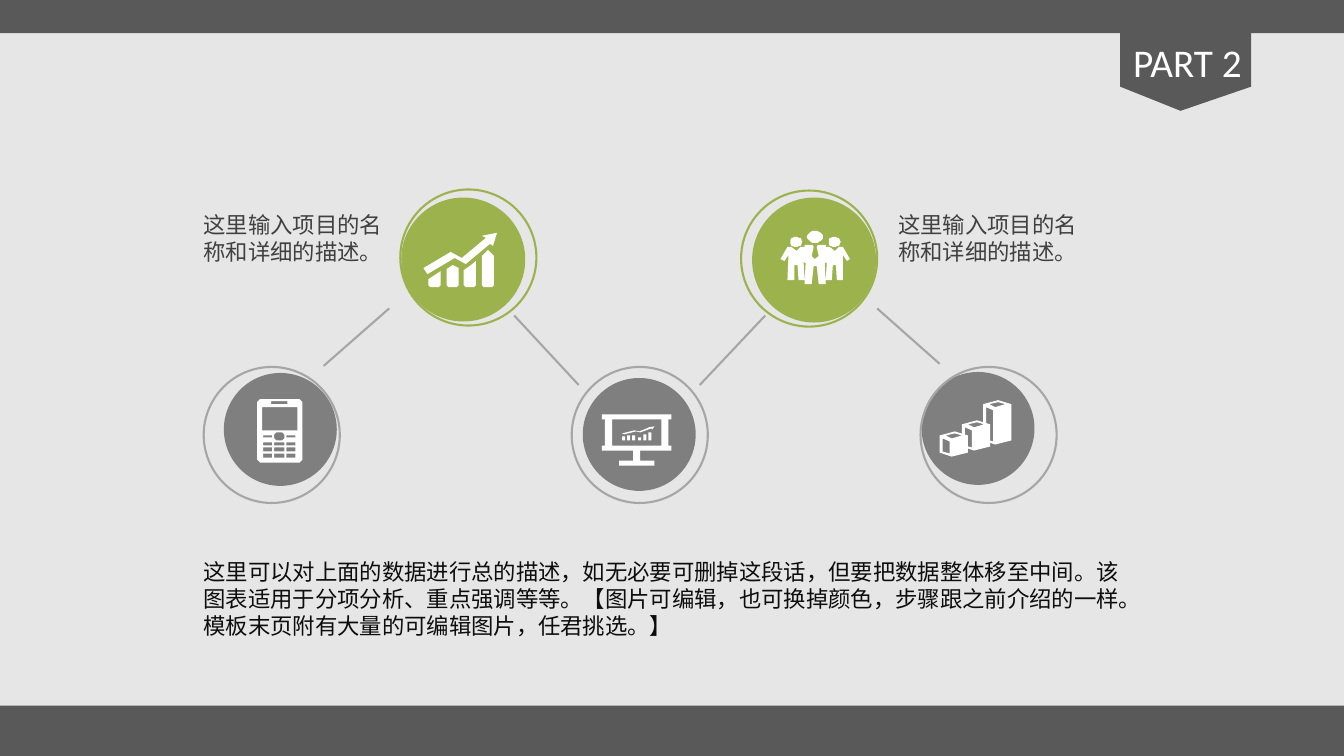
"""Builds the PART 2 slide: five icon circles in a zigzag with captions."""
from math import cos, pi, sin

from lxml.etree import SubElement
from pptx import Presentation
from pptx.dml.color import RGBColor
from pptx.enum.shapes import MSO_CONNECTOR, MSO_SHAPE
from pptx.enum.text import MSO_AUTO_SIZE
from pptx.oxml.ns import qn
from pptx.util import Inches, Pt

COLORS = {
    "back": "E6E6E6", "bar": "595959", "green": "9CB24D", "gray": "7F7F7F",
    "line": "A6A6A6", "white": "FFFFFF", "body": "0D0D0D", "label": "404040",
}
RGB = {name: RGBColor.from_string(code) for name, code in COLORS.items()}
CJK = "Noto Sans CJK SC"

deck = Presentation()
deck.slide_width, deck.slide_height = Inches(13.33), Inches(7.5)
slide = deck.slides.add_slide(deck.slide_layouts[6])
slide.background.fill.solid()
slide.background.fill.fore_color.rgb = RGB["back"]
shapes = slide.shapes


def draw(loops, color="white"):
    """Fill outlines given in hundredths of an inch; inner ones are holes."""
    pen = shapes.build_freeform(*loops[0][0], scale=Inches(0.01))
    for i, loop in enumerate(loops):
        if i:
            pen.move_to(*loop[0])
        pen.add_line_segments(loop[1:], close=True)
    form = pen.convert_to_shape()
    form.shadow.inherit = False
    form.fill.solid()
    form.fill.fore_color.rgb = RGB[color]
    form.line.fill.background()


def box(left, top, wide, high, cut=0):
    """Return a rectangle's outline, with its corners cut if asked."""
    right, base = left + wide, top + high
    points = [(left + cut, top), (right - cut, top),
              (right, top + cut), (right, base - cut),
              (right - cut, base), (left + cut, base),
              (left, base - cut), (left, top + cut)]
    return list(dict.fromkeys(points))


RECT, OVAL = MSO_SHAPE.RECTANGLE, MSO_SHAPE.OVAL
solids = [
    (RECT, 0, 0, 13.33, 0.33, "bar"), (RECT, 0, 7, 13.33, 0.5, "bar"),
    (OVAL, 3.98, 1.96, 1.23, 1.23, "green"),
    (OVAL, 7.46, 1.96, 1.23, 1.24, "green"),
    (OVAL, 2.22, 3.7, 1.12, 1.12, "gray"),
    (OVAL, 5.78, 3.75, 1.12, 1.12, "gray"),
    (OVAL, 9.14, 3.69, 1.12, 1.12, "gray"),
]
for kind, *place, color in solids:
    solid = shapes.add_shape(kind, *[Inches(n) for n in place])
    solid.shadow.inherit = False
    solid.fill.solid()
    solid.fill.fore_color.rgb = RGB[color]
    solid.line.fill.background()

draw([[(1111, 33), (1241, 33), (1241, 86), (1171, 110), (1111, 86)]], "bar")

rings = [
    (2.02, 3.64, "line"), (5.67, 3.64, "line"), (9.13, 3.64, "line"),
    (3.97, 1.88, "green"), (7.35, 1.89, "green"),
]
for left, top, color in rings:
    ring = shapes.add_shape(OVAL, Inches(left), Inches(top),
                            Inches(1.35), Inches(1.35))
    ring.shadow.inherit = False
    ring.fill.background()
    ring.line.color.rgb = RGB[color]
    ring.line.width = Pt(1.5)

links = [
    (3.86, 3.06, 3.21, 3.63), (5.1, 3.13, 5.74, 3.82),
    (7.59, 3.13, 6.94, 3.82), (8.7, 3.06, 9.32, 3.61),
]
for ends in links:
    link = shapes.add_connector(MSO_CONNECTOR.STRAIGHT,
                                *[Inches(end) for end in ends])
    link.line.color.rgb = RGB["line"]
    link.line.width = Pt(1.5)
    SubElement(link._element.spPr, qn("a:effectLst"))

# Growth
trend = [(422, 269), (449, 253.5), (460, 258.5), (483.5, 239)]
head = [(478, 234), (493, 231), (489, 244)]
arrow = ([(x - 2, y - 3) for x, y in trend] + head
         + [(x + 2, y + 3) for x, y in reversed(trend)])
growth = [arrow]
base, wide, step = 285, 12, 17.67
slopes = [(277, 273, 269), (267, 263, 266), (268, 264, 259), (254, 248, 254)]
for i, tops in enumerate(slopes):
    left = 425 + i * step
    roof = [(left + wide * j / 2, top) for j, top in enumerate(tops)]
    foot = [(left + wide, base - 2), (left + wide - 2, base),
            (left + 2, base), (left, base - 2)]
    growth.append(roof + foot)
draw(growth)

# Team
mid = 808.5
tie = [(0, 257), (3.5, 254), (1.5, 245), (2.5, 243)]
coat = [(10.5, 243), (10.5, 245), (14.5, 245), (19, 249), (23.5, 245)]
arm = [(27.5, 245), (34.5, 257), (31, 259), (27, 253)]
legs = [(27.5, 278), (21, 278), (20.5, 263), (17.5, 263), (16.5, 278),
        (10.5, 278), (11.5, 260), (9.5, 261)]
lead = [(10.5, 282), (3.5, 282), (1.5, 264)]
half = tie + coat + arm + legs + lead
team = [[(mid + x, y) for x, y in half]
        + [(mid - x, y) for x, y in reversed(half)]]
turns = [i * pi / 12 for i in range(24)]
for x, y, wide, high in [(-19, 240, 6, 5), (0, 235, 8, 6), (19, 240, 6, 5)]:
    team.append([(mid + x + wide * cos(t), y + high * sin(t)) for t in turns])
draw(team)

# Phone
screen, slot = box(260, 404, 35, 23), box(269, 398, 16, 3)
phone = [box(255, 396, 45, 63, 3), screen, slot, box(272, 429, 10, 8, 2)]
phone += [box(left, 432, 9, 2) for left in (261, 284)]
phone += [box(261 + 11.5 * col, 439 + 5.5 * row, 9, 3.5)
          for row in range(3) for col in range(3)]
draw(phone)

# Board
mid = 631.5
tiers = {"rail": (34.5, 411, 416), "panel": (31.5, 416, 442),
         "sill": (34.5, 442, 447), "post": (3.5, 447, 457),
         "foot": (17.5, 457, 462)}
side = [(half, y) for half, top, base in tiers.values() for y in (top, base)]
board = [[(mid + x, y) for x, y in side]
         + [(mid - x, y) for x, y in reversed(side)],
         box(607, 416, 49, 26),
         [(617 + (x - 420) * 0.44, 423 + (y - 231) * 0.2) for x, y in arrow]]
for i, high in enumerate([4, 5, 5, 3, 6, 8]):
    board.append(box(617 + 5.2 * i, 437 - high, 3, high))
draw(board)

# Cubes
for left, top, high in [(932, 432, 17), (954, 421, 22), (975, 401, 36)]:
    shell = [(0, 0), (15, -4), (28, 0), (28, high), (12, high + 4), (0, high)]
    lid = [(6, 0), (12, 3), (22, 0), (15, -2)]
    face = [(3, 3), (10, 6), (10, high + 1), (3, high - 1)]
    draw([[(left + x, top + y) for x, y in loop]
          for loop in (shell, lid, face)])

label = "这里输入项目的名称和详细的描述。"
summary = (
    "这里可以对上面的数据进行总的描述，如无必要可删掉这段话，但要把数据整体移至中间。"
    "该图表适用于分项分析、重点强调等等。【图片可编辑，也可换掉颜色，步骤跟之前介绍的一样。"
    "模板末页附有大量的可编辑图片，任君挑选。】"
)
notes = [
    (11.14, 0.33, 1.37, 0.57, "PART 2", 28, "Calibri", "white"),
    (1.92, 5.49, 9.41, 0.91, summary, 16, CJK, "body"),
    (1.92, 2.05, 2.1, 0.64, label, 16, CJK, "label"),
    (8.81, 2.05, 2.16, 0.64, label, 16, CJK, "label"),
]
for *place, words, size, face, color in notes:
    note = shapes.add_textbox(*[Inches(n) for n in place])
    frame = note.text_frame
    frame.text = words
    frame.word_wrap = True
    frame.auto_size = MSO_AUTO_SIZE.SHAPE_TO_FIT_TEXT
    run = frame.paragraphs[0].runs[0]
    run.font.size = Pt(size)
    run.font.name = face
    run.font.color.rgb = RGB[color]
    SubElement(run._r.get_or_add_rPr(), qn("a:ea"), typeface=face)

deck.save("out.pptx")
